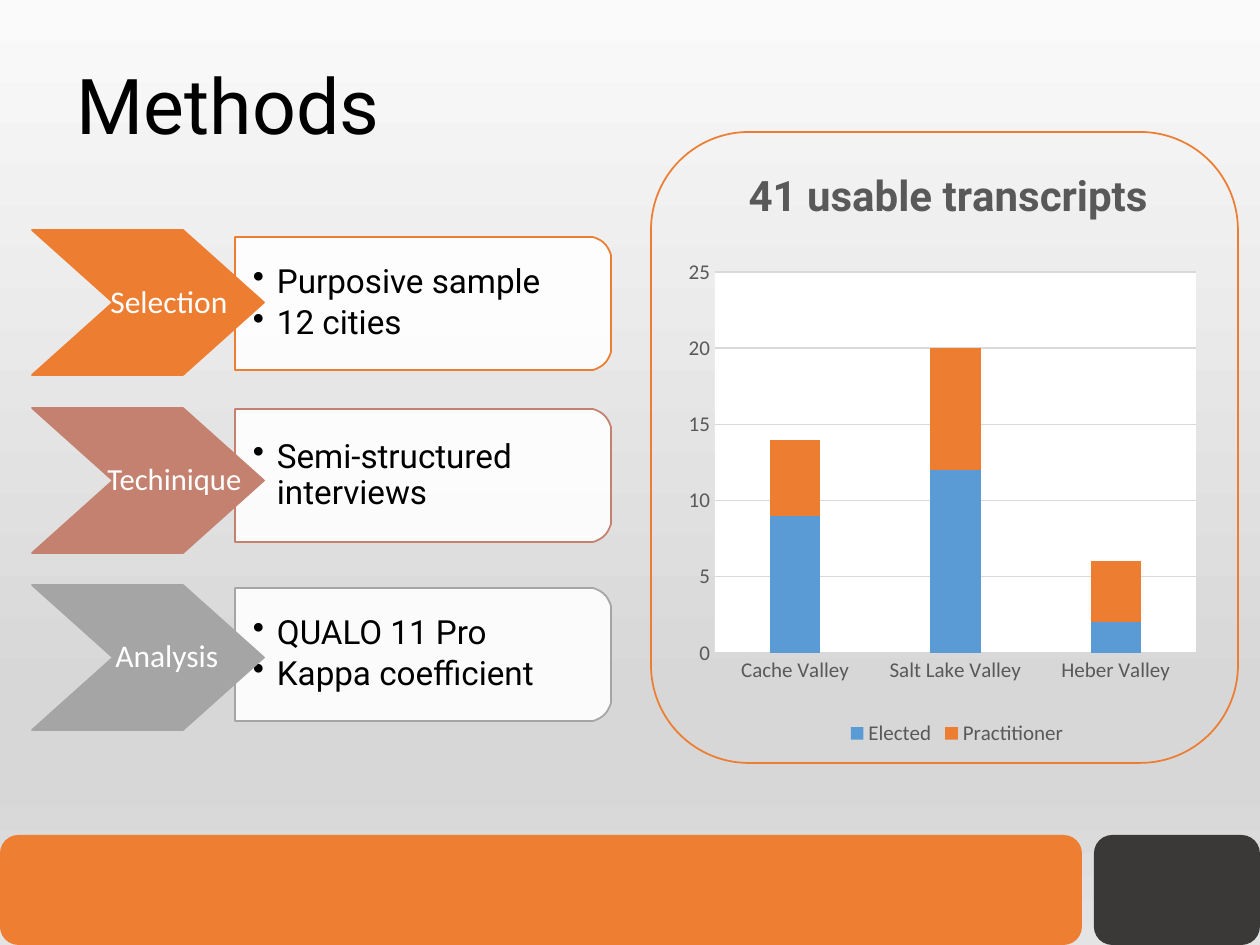
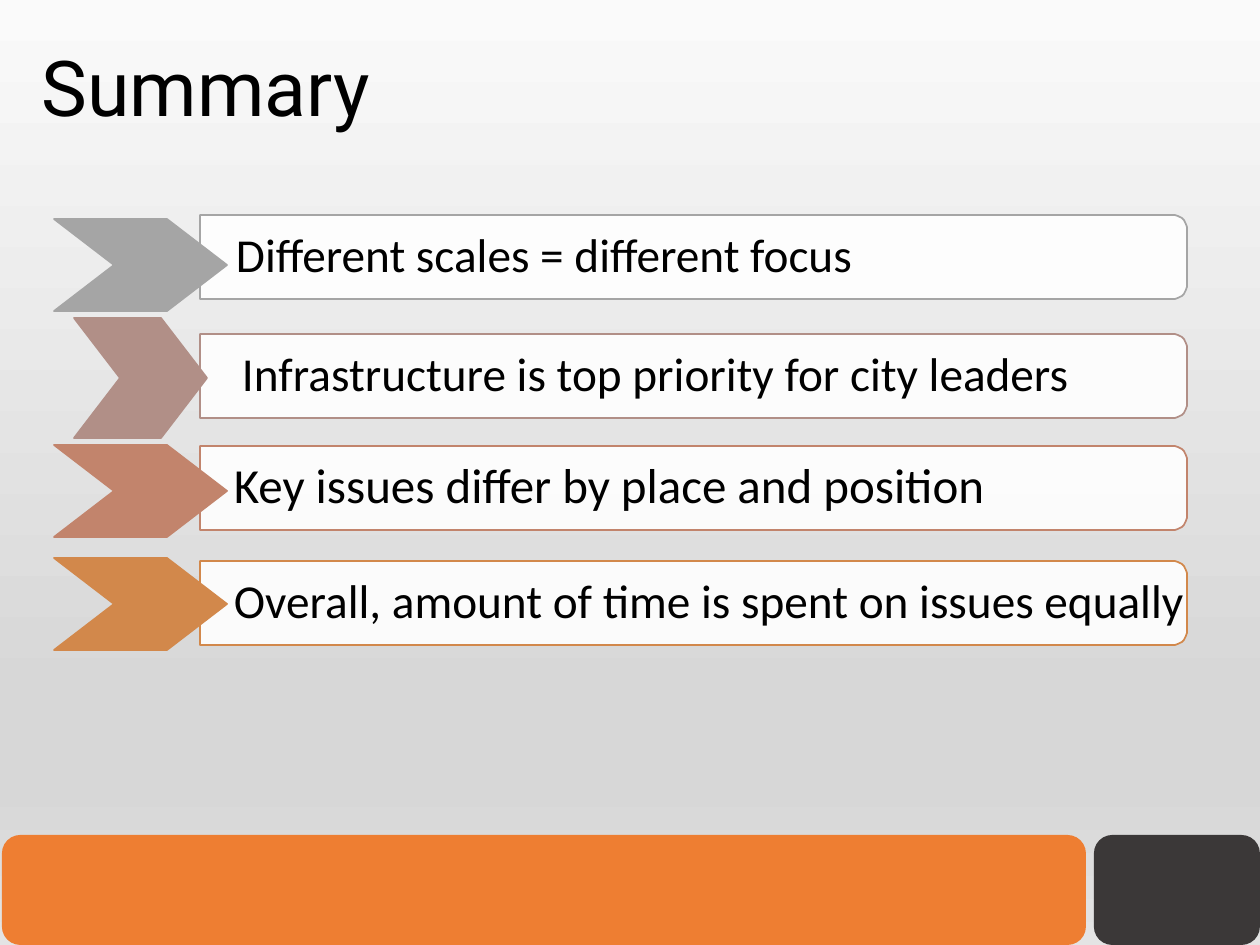
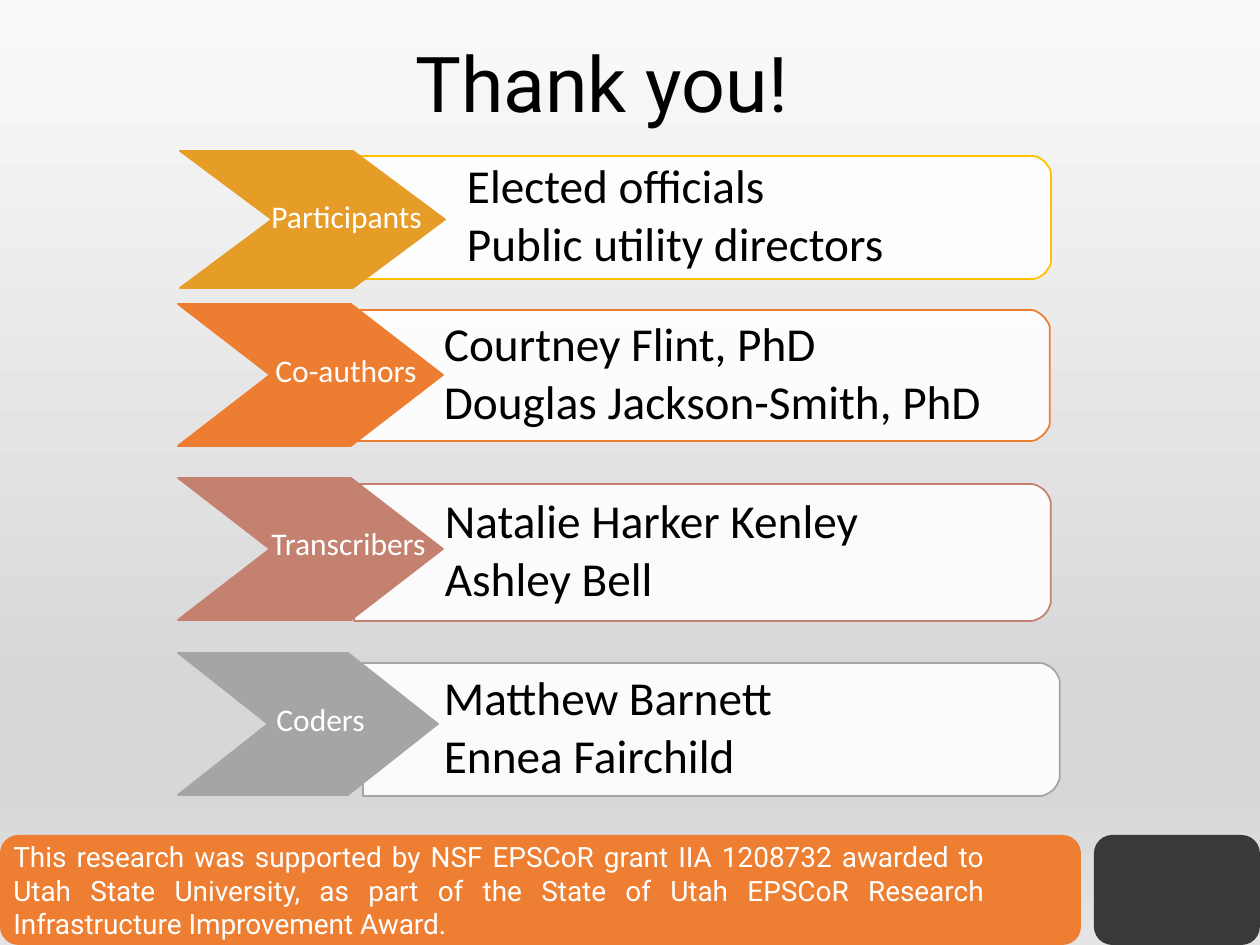
"""Build three slides on interview methods, findings and thanks."""
from math import cos, radians, sin

from lxml.etree import SubElement
from pptx import Presentation
from pptx.chart.data import CategoryChartData
from pptx.dml.color import RGBColor
from pptx.enum.chart import XL_CHART_TYPE, XL_LEGEND_POSITION, XL_TICK_MARK
from pptx.enum.shapes import MSO_SHAPE
from pptx.enum.text import MSO_ANCHOR, PP_ALIGN
from pptx.oxml import parse_xml
from pptx.oxml.ns import nsdecls, qn
from pptx.util import Pt

PX = 7257
color = RGBColor.from_string
ORANGE, BAND, CLAY, GRAY = "ED7D31", "EE7E32", "C48170", "A5A5A5"
DARK, BLACK, WHITE, CHART_TEXT, GRID = "3B3838", "000000", "FFFFFF", "595959", "D9D9D9"


def paint(shape, fill=None, line=None):
    """Set the fill and outline of a shape and drop its shadow."""
    shape.shadow.inherit = False
    if fill:
        shape.fill.solid()
        shape.fill.fore_color.rgb = color(fill)
    else:
        shape.fill.background()
    if line:
        shape.line.color.rgb = color(line)
        shape.line.width = Pt(1)
    else:
        shape.line.fill.background()


def write(shape, lines, size, font, ink, align=PP_ALIGN.LEFT, spacing=1, after=0, bullet=False):
    """Write one paragraph per line, all in the same style."""
    frame = shape.text_frame
    frame.word_wrap = True
    frame.vertical_anchor = MSO_ANCHOR.MIDDLE
    frame.text = "\n".join(lines)
    for paragraph in frame.paragraphs:
        if bullet:
            properties = paragraph._p.get_or_add_pPr()
            properties.set("marL", str(24 * PX))
            properties.set("indent", str(-24 * PX))
            SubElement(properties, qn("a:buChar")).set("char", "•")
        paragraph.alignment = align
        paragraph.line_spacing = spacing
        paragraph.space_after = Pt(after)
        paragraph.font.size = Pt(size)
        paragraph.font.name = font
        paragraph.font.color.rgb = color(ink)


presentation = Presentation()
presentation.slide_width = 1260 * PX
presentation.slide_height = 945 * PX

master = presentation.slide_master
background = master.background.fill
background.gradient()
background.gradient_angle = 270
stops = master.element.find(".//" + qn("a:gsLst"))
for stop in list(stops):
    stops.remove(stop)
for position, shade in ((0, "FAFAFA"), (74, "D7D7D7"), (83, "D7D7D7"), (100, "E4E4E4")):
    stop = SubElement(stops, qn("a:gs"), pos=str(position * 1000))
    SubElement(stop, qn("a:srgbClr"), val=shade)

METHODS = [
    (ORANGE, ORANGE, (235, 237, 376, 133), (32, 230, 232, 145), 81,
     ("Selection", 98, 276, 164, 18), 253, 19, ["Purposive sample", "12 cities"]),
    (CLAY, CLAY, (235, 409, 376, 133), (32, 408, 232, 145), 81,
     ("Techinique", 95, 453, 180, 17.5), 253, 19, ["Semi-structured interviews"]),
    (GRAY, GRAY, (235, 588, 376, 133), (32, 585, 232, 145), 81,
     ("Analysis", 103, 630, 164, 18), 253, 19, ["QUALO 11 Pro", "Kappa coefficient"]),
]
SUMMARY = [
    (GRAY, GRAY, (200, 215, 987, 84), (54, 219, 173, 92), 60,
     None, 236, 27, ["Different scales = different focus"]),
    ("B18F87", "B18F87", (200, 334, 987, 84), (74, 318, 133, 120), 46,
     None, 242, 27, ["Infrastructure is top priority for city leaders"]),
    ("C2846C", "C2846C", (200, 446, 987, 84), (54, 445, 173, 92), 60,
     None, 234, 28, ["Key issues differ by place and position"]),
    ("D2884B", "D2884B", (200, 561, 987, 84), (54, 558, 173, 92), 60,
     None, 234, 27, ["Overall, amount of time is spent on issues equally"]),
]
THANKS = [
    ("E69D27", "FFC000", (350, 156, 701, 123), (180, 151, 265, 137), 92,
     ("Participants", 259, 191, 232, 18), 467, 27, ["Elected officials", "Public utility directors"]),
    (ORANGE, ORANGE, (353, 310, 697, 131), (178, 304, 265, 142), 92,
     ("Co-authors", 263, 345, 180, 18), 444, 27,
     ["Courtney Flint, PhD", "Douglas Jackson-Smith, PhD"]),
    (CLAY, CLAY, (354, 484, 697, 137), (178, 478, 265, 142), 92,
     ("Transcribers", 259, 518, 224, 18), 445, 27, ["Natalie Harker Kenley", "Ashley Bell"]),
    (GRAY, GRAY, (363, 663, 697, 133), (178, 653, 260, 142), 90,
     ("Coders", 264, 694, 180, 18), 444, 27, ["Matthew Barnett", "Ennea Fairchild"]),
]
SLIDES = [
    ("Methods", 64, 18, PP_ALIGN.LEFT, 0, 1082, "Roboto", True, METHODS),
    ("Summary", 29, 0, PP_ALIGN.LEFT, 2, 1084, "Calibri", False, SUMMARY),
    ("Thank you!", 59, -4, PP_ALIGN.CENTER, 0, 1081, "Calibri", False, THANKS),
]

for heading, title_left, title_top, align, band_left, band_width, font, bullet, rows in SLIDES:
    slide = presentation.slides.add_slide(presentation.slide_layouts[5])
    title = slide.shapes.title
    title.left, title.top = title_left * PX, title_top * PX
    title.width, title.height = 1086 * PX, 183 * PX
    write(title, [heading], 44, "Roboto", BLACK, align, 0.9)

    for left, width, fill in ((1094, 166, DARK), (band_left, band_width, BAND)):
        band = slide.shapes.add_shape(
            MSO_SHAPE.ROUNDED_RECTANGLE, left * PX, 835 * PX, width * PX, 110 * PX)
        paint(band, fill)

    for fill, outline, panel_box, chevron_box, tip, label, text_left, size, lines in rows:
        left, top, width, height = panel_box
        radius = height / 6
        corner_x = left + width - radius
        corners = ((top + radius, -90), (top + height - radius, 0))
        arcs = [
            (corner_x + radius * cos(radians(start + turn)),
             corner_y + radius * sin(radians(start + turn)))
            for corner_y, start in corners for turn in range(0, 91, 10)
        ]
        builder = slide.shapes.build_freeform(left, top, scale=PX)
        builder.add_line_segments(arcs + [(left, top + height)], close=True)
        panel = builder.convert_to_shape()
        paint(panel, WHITE, outline)
        panel_color = panel._element.spPr.find(qn("a:solidFill")).find(qn("a:srgbClr"))
        SubElement(panel_color, qn("a:alpha"), val="90000")
        frame = panel.text_frame
        frame.margin_left = (text_left - left) * PX
        frame.margin_right = frame.margin_top = frame.margin_bottom = 0
        write(panel, lines, size, font, BLACK, spacing=0.9, after=round(size * 0.15), bullet=bullet)

        chevron = slide.shapes.add_shape(MSO_SHAPE.CHEVRON, *(value * PX for value in chevron_box))
        chevron.adjustments[0] = tip / min(chevron_box[2:])
        paint(chevron, fill, fill)
        if label:
            caption, left, top, width, label_size = label
            label_box = slide.shapes.add_textbox(left * PX, top * PX, width * PX, 50 * PX)
            write(label_box, [caption], label_size, "Calibri", WHITE)

frame = band.text_frame
frame.margin_left, frame.margin_right = 8 * PX, 91 * PX
frame.margin_top = frame.margin_bottom = 0
write(band, ["This research was supported by NSF EPSCoR grant IIA 1208732 awarded to Utah State "
             "University, as part of the State of Utah EPSCoR Research Infrastructure "
             "Improvement Award."], 16, "Roboto", WHITE, PP_ALIGN.JUSTIFY)

methods = presentation.slides[0]
chart_frame = methods.shapes.add_shape(
    MSO_SHAPE.ROUNDED_RECTANGLE, 651 * PX, 132 * PX, 587 * PX, 631 * PX)
paint(chart_frame, line=ORANGE)

data = CategoryChartData()
data.categories = ["Cache Valley", "Salt Lake Valley", "Heber Valley"]
data.add_series("Elected", (9, 12, 2))
data.add_series("Practitioner", (5, 8, 4))
chart_width, chart_height = 570, 631
chart = methods.shapes.add_chart(
    XL_CHART_TYPE.COLUMN_STACKED, 639 * PX, 132 * PX,
    chart_width * PX, chart_height * PX, data).chart
chart.font.name = "Calibri"
chart.font.size = Pt(12)
chart.font.color.rgb = color(CHART_TEXT)

chart.has_title = True
chart.chart_title.text_frame.text = "41 usable transcripts"
title_font = chart.chart_title.text_frame.paragraphs[0].font
title_font.name = "Roboto"
title_font.size = Pt(24)
title_font.bold = True
title_font.color.rgb = color(CHART_TEXT)

chart.has_legend = True
chart.legend.position = XL_LEGEND_POSITION.BOTTOM
chart.legend.include_in_layout = False

plot = chart.plots[0]
plot.gap_width = 219
plot.overlap = 100
plot.vary_by_categories = False
for series, fill in zip(plot.series, ("5B9BD5", ORANGE)):
    series.format.fill.solid()
    series.format.fill.fore_color.rgb = color(fill)

for axis in (chart.category_axis, chart.value_axis):
    axis.major_tick_mark = axis.minor_tick_mark = XL_TICK_MARK.NONE
category_line = chart.category_axis.format.line
category_line.color.rgb = color(GRID)
category_line.width = Pt(0.75)
value_axis = chart.value_axis
value_axis.minimum_scale, value_axis.maximum_scale, value_axis.major_unit = 0, 25, 5
value_axis.format.line.fill.background()
value_axis.major_gridlines.format.line.color.rgb = color(GRID)
value_axis.major_gridlines.format.line.width = Pt(0.75)

plot_area = chart._chartSpace.find(".//" + qn("c:plotArea"))
for element, index, box in (
    (chart.chart_title._element, 1, {"x": 102, "y": 28}),
    (chart.legend._element, 1, {"x": 205, "y": 584}),
    (plot_area, 0, {"x": 76, "y": 140, "w": 481, "h": 381}),
):
    for old_layout in element.findall(qn("c:layout")):
        element.remove(old_layout)
    layout = parse_xml(f"<c:layout {nsdecls('c')}><c:manualLayout/></c:layout>")
    element.insert(index, layout)
    settings = {"layoutTarget": "inner"} if element is plot_area else {}
    settings |= {"xMode": "edge", "yMode": "edge"}
    for name, length in box.items():
        settings[name] = length / (chart_width if name in "xw" else chart_height)
    for name, value in settings.items():
        SubElement(layout[0], qn(f"c:{name}"), val=str(value))
plot_area.append(parse_xml(
    f"<c:spPr {nsdecls('c', 'a')}><a:solidFill><a:srgbClr val='{WHITE}'/></a:solidFill></c:spPr>"))

presentation.save("out.pptx")
